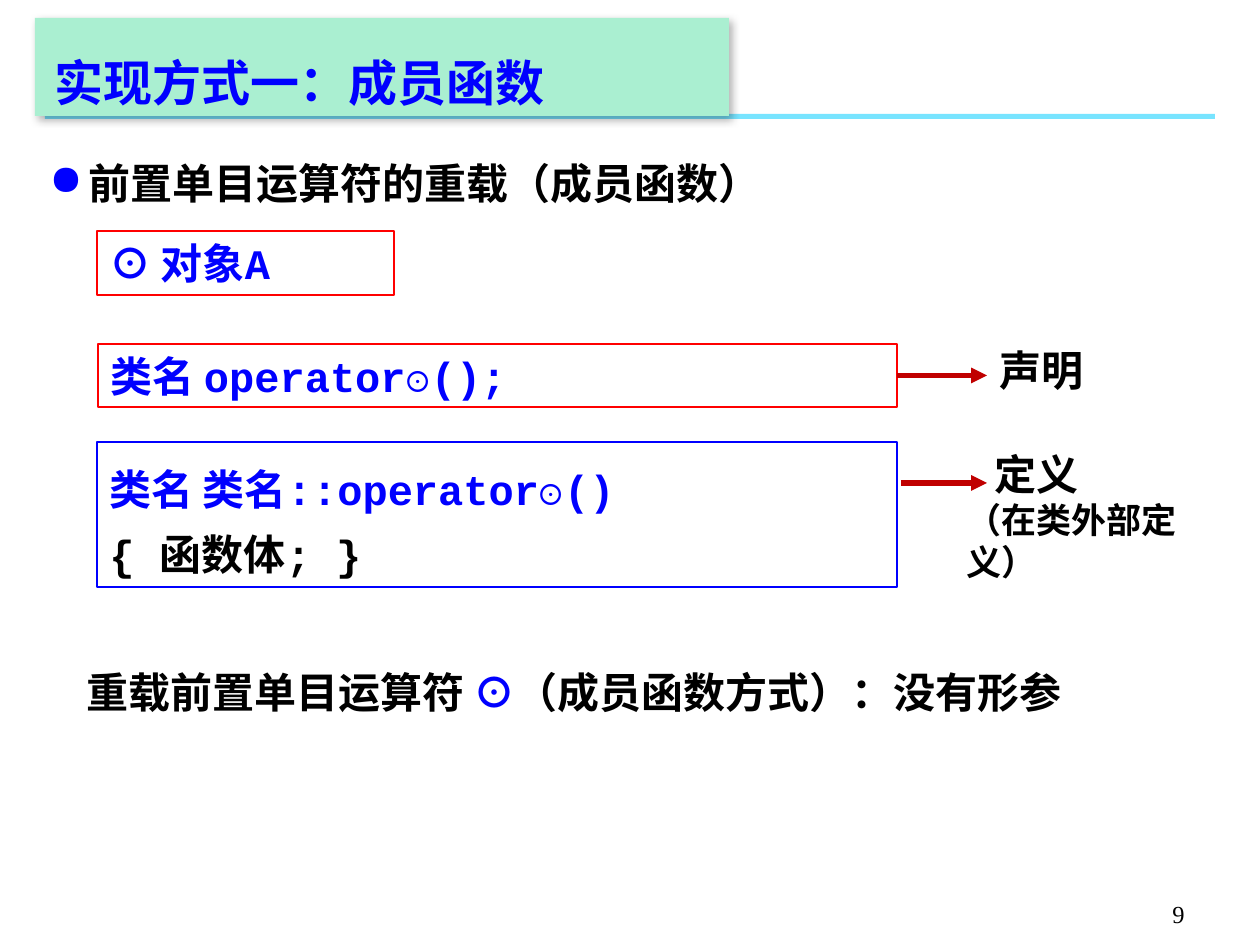
from dataclasses import dataclass

from lxml import etree
from pptx import Presentation
from pptx import util as u
from pptx.dml.color import RGBColor
from pptx.enum import shapes, text
from pptx.oxml import ns

PX = 914400 / 126
RECT = shapes.MSO_SHAPE.RECTANGLE


@dataclass(frozen=True)
class Theme:
    """Colours, fonts and type sizes of the slide."""
    blue: str = "0000FF"
    black: str = "000000"
    red: str = "FF0000"
    dark: str = "C00000"
    mint: str = "AAEFD1"
    sky: str = "00CCFF"
    sans: str = "Arial"
    mono: str = "Courier New"
    serif: str = "Times New Roman"
    han: str = "Noto Sans CJK SC"
    head: int = 28
    body: int = 24
    note: int = 20
    foot: int = 14


T = Theme()


def px(n):
    """Turn px into EMU."""
    return u.Emu(round(n * PX))


def sub(node, tag, **vals):
    """Append a DrawingML element."""
    return etree.SubElement(node, ns.qn("a:" + tag), {k: str(v) for k, v in vals.items()})


def style(item, vals):
    """Set attributes from a dict."""
    for key, val in vals.items():
        setattr(item, key, val)


def rect(sl, box, fill=None, line=None, width=1):
    """Add a plain rectangle."""
    shp = sl.shapes.add_shape(RECT, *map(px, box))
    shp.shadow.inherit = False
    if fill:
        shp.fill.solid()
        shp.fill.fore_color.rgb = RGBColor.from_string(fill)
    else:
        shp.fill.background()
    if line:
        shp.line.color.rgb = RGBColor.from_string(line)
        shp.line.width = u.Pt(width)
    else:
        shp.line.fill.background()
    return shp


def label(sl, box):
    """Add an empty text box."""
    return sl.shapes.add_textbox(*map(px, box))


def write(shp, rows, gap=None, frame=None):
    """Fill a shape with rows of (words, font, colour, size) runs."""
    tf = shp.text_frame
    style(tf, {"word_wrap": True, "vertical_anchor": text.MSO_ANCHOR.TOP} | (frame or {}))
    for i, row in enumerate(rows):
        par = tf.add_paragraph() if i else tf.paragraphs[0]
        style(par, {"alignment": text.PP_ALIGN.LEFT, "line_spacing": gap})
        for words, face, tint, size in row:
            run = par.add_run()
            run.text = words
            style(run.font, {"name": face, "size": u.Pt(size), "bold": True})
            run.font.color.rgb = RGBColor.from_string(tint)
            sub(run.font._element, "ea", typeface=T.han)
    return tf.paragraphs


def title(sl, box, words):
    """Place the title band with its rule and shadow."""
    x, y, w, h = box
    bar = rect(sl, (x + 10, y + h - 2, 1170, 5), T.sky)
    tint = bar.fill._xPr.find(".//" + ns.qn("a:srgbClr"))
    sub(tint, "alpha", val=53000)
    band = rect(sl, box, T.mint)
    glow = band._element.spPr.find(ns.qn("a:effectLst"))
    cast = sub(glow, "outerShdw", blurRad=u.Pt(4.5), dist=u.Pt(2.6),
               dir=53 * 60000, algn="tl", rotWithShape=0)
    sub(sub(cast, "srgbClr", val=T.black), "alpha", val=30000)
    write(band, [[(words, T.han, T.blue, T.head)]], 1.5,
          {"word_wrap": False, "vertical_anchor": text.MSO_ANCHOR.MIDDLE,
           "margin_left": px(20), "margin_top": 0, "margin_bottom": 0})


def point(sl, box, words):
    """Place the bulleted heading."""
    par = write(label(sl, box), [[(words, T.sans, T.black, T.body)]])[0]
    ppr = par._p.get_or_add_pPr()
    style_in = {"marL": px(39), "indent": -px(39)}
    for key, val in style_in.items():
        ppr.set(key, str(val))
    sub(sub(ppr, "buClr"), "srgbClr", val=T.blue)
    sub(ppr, "buChar", char="●")


def code(sl, box, lines, edge, width=1, gap=None):
    """Place a framed code box with (words, colour) lines."""
    shp = rect(sl, box, line=edge, width=width)
    write(shp, [[(words, T.mono, tint, T.body)] for words, tint in lines], gap)
    return shp


def arrow(sl, x, y, w, start=None):
    """Place a level arrow, joined to the right of a box if one is given."""
    con = sl.shapes.add_connector(shapes.MSO_CONNECTOR.STRAIGHT, *map(px, (x, y, x + w, y)))
    if start:
        con.begin_connect(start, 3)
        con.end_y = con.begin_y
    con.line.color.rgb = RGBColor.from_string(T.dark)
    con.line.width = u.Pt(3)
    sub(con.line._get_or_add_ln(), "tailEnd", type="triangle")
    sub(con._element.spPr, "effectLst")


def forms(sl, box):
    """Place the usage, declaration and definition with their labels."""
    x, y, w, h = box
    code(sl, (x, y, 297, 64), [("⊙ 对象A", T.blue)], T.red, 0.75)
    decl = code(sl, (x + 1, y + 113, w - 1, 63), [("类名 operator⊙();", T.blue)], T.red)
    code(sl, (x, y + h - 145, w, 145),
         [("类名 类名::operator⊙()", T.blue), ("{ 函数体; }", T.black)], T.blue, gap=1.3)
    write(label(sl, (x + 890, y + 107, 111, 63)),
          [[("声明", T.sans, T.black, T.body)]], frame={"word_wrap": False})
    pars = write(label(sl, (x + 857, y + 211, 288, 106)),
                 [[("定义", T.sans, T.black, T.body)],
                  [("（在类外部定义）", T.sans, T.black, T.note)]])
    pars[0]._p.get_or_add_pPr().set("indent", str(px(28)))
    arrow(sl, x + w + 4, y + 144, 86, decl)
    arrow(sl, x + w + 4, y + 252, 86)


def close(sl, box):
    """Place the closing remark."""
    write(label(sl, box), [[("重载前置单目运算符 ", T.sans, T.black, T.body),
                            ("⊙", T.mono, T.blue, T.body),
                            ("（成员函数方式）：没有形参", T.sans, T.black, T.body)]], 1.2)


def folio(sl, box, num):
    """Place the page number."""
    par = write(label(sl, box), [[(num, T.serif, T.black, T.foot)]],
                frame={"vertical_anchor": text.MSO_ANCHOR.BOTTOM})[0]
    par.alignment = text.PP_ALIGN.RIGHT
    par.runs[0].font.bold = False


def main():
    """Build and save the slide."""
    prs = Presentation()
    style(prs, {"slide_width": px(1260), "slide_height": px(945)})
    sl = prs.slides.add_slide(prs.slide_layouts[6])
    title(sl, (35, 18, 694, 98), "实现方式一：成员函数")
    point(sl, (37, 151, 1201, 63), "前置单目运算符的重载（成员函数）")
    forms(sl, (97, 231, 800, 356))
    close(sl, (74, 650, 1121, 74))
    folio(sl, (935, 872, 262, 63), "9")
    prs.save("out.pptx")


if __name__ == "__main__":
    main()
